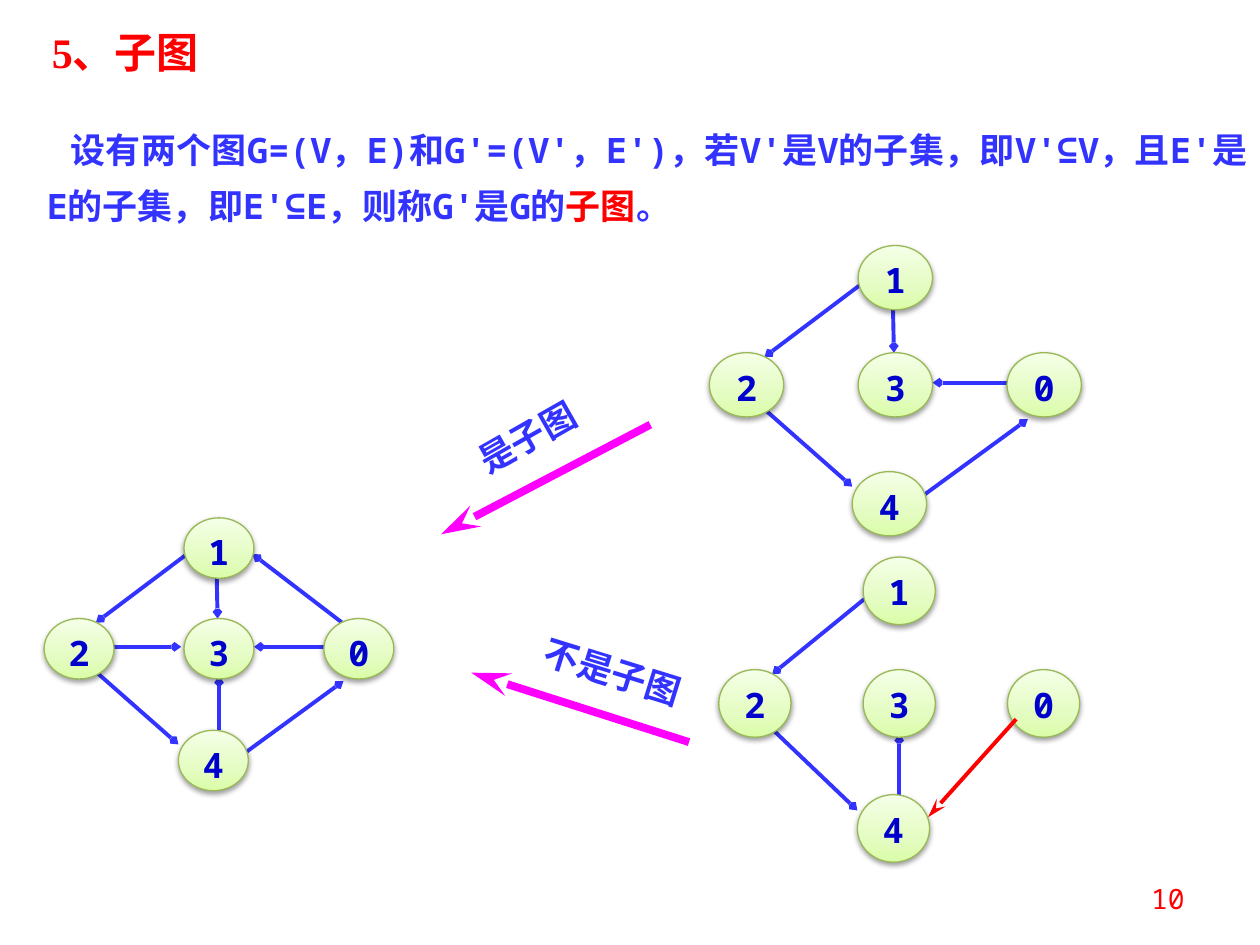
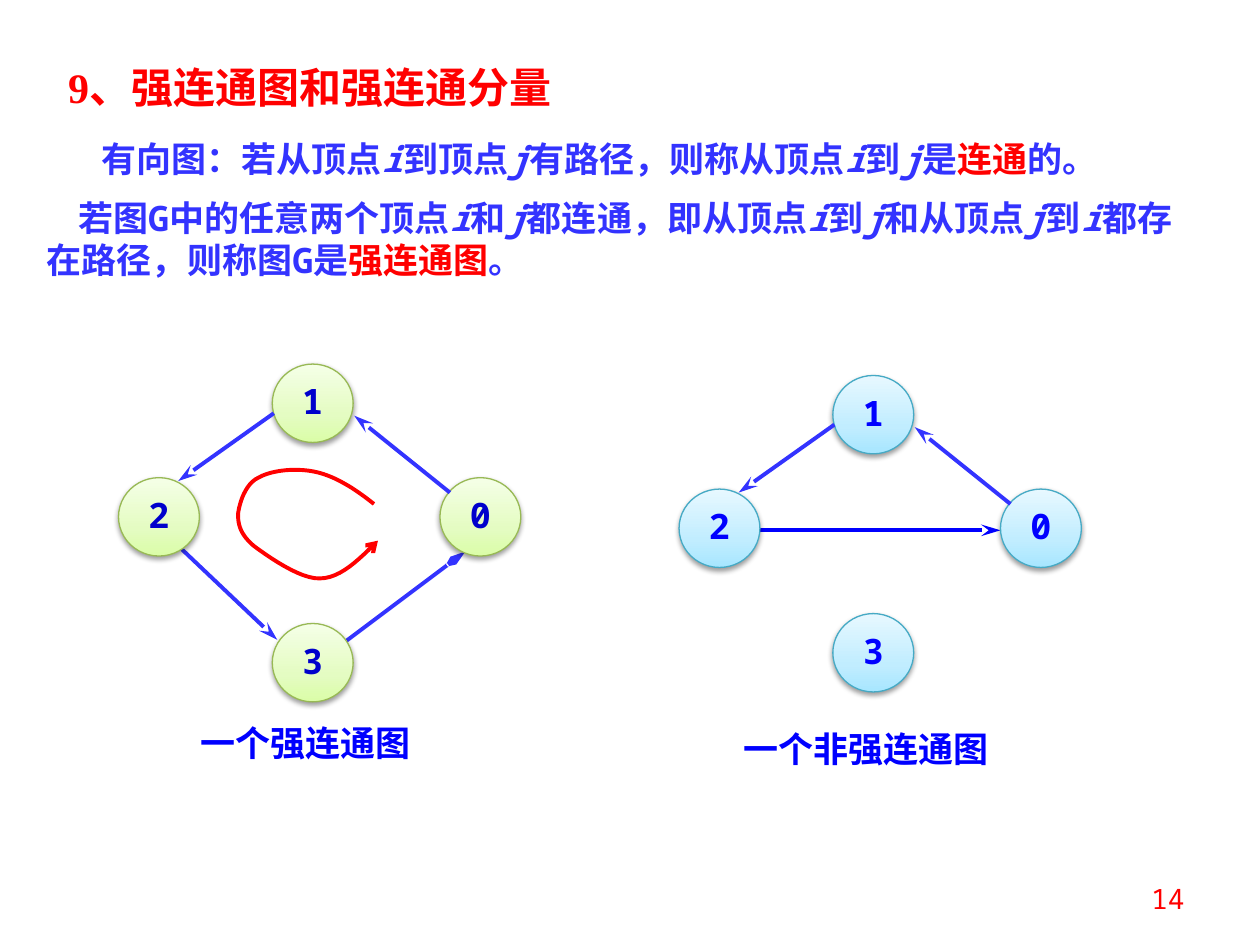
from pptx import Presentation
from pptx.dml.color import RGBColor
from pptx.enum.shapes import MSO_CONNECTOR, MSO_SHAPE
from pptx.enum.text import MSO_ANCHOR, MSO_AUTO_SIZE, PP_ALIGN
from pptx.oxml import parse_xml
from pptx.oxml.ns import nsdecls, qn
from pptx.util import Cm, Pt
from lxml.etree import SubElement

MONO, SERIF, CJK = "Noto Sans Mono", "Times New Roman", "Noto Sans CJK SC"
RED, BLUE, PURE_BLUE, NAVY, MAGENTA = "FF0000", "3333FF", "0000FF", "0000CC", "FF00FF"
GREEN_NODE = {"stops": ("DAFDA7", "E4FCC2", "F5FFE7"), "line": "98B955", "text": NAVY}
CYAN_NODE = {"stops": ("A7E6FF", "C1EDFF", "E7F8FF"), "line": "46AAC5", "text": PURE_BLUE}

SMALL = ("arrow", "sm", "sm")
LONG = ("arrow", "sm", "lg")
MEDIUM = ("arrow", "med", "med")
STEALTH = ("stealth", "med", "lg")

FIVE_NODES = {"1": (0, 0), "3": (0, 1), "0": (1, 1), "2": (-1, 1), "4": (-0.04, 2.11)}
FIVE_LINKS = {
    "13": (0.23, 0.33, 0.24, 1),
    "43": (0.25, 2.17, 0.25, 1.57),
    "03": (1, 1.28, 0.5, 1.28),
    "23": (-0.51, 1.28, -0.02, 1.28),
    "24": (-0.62, 1.54, -0.04, 2.25),
    "40": (0.44, 2.33, 1.14, 1.62),
    "01": (1.13, 1.04, 0.49, 0.36),
    "12": (0.04, 0.34, -0.63, 1.04),
    "04": (1.06, 1.44, 0.45, 2.31),
}
FOUR_LINKS = {
    "12": (0.03, 0.99, -1.9, 2.36),
    "01": (3.58, 2.59, 1.65, 1.04),
    "23": (-1.88, 3.68, 0.1, 5.56),
    "30": (1.45, 5.61, 3.89, 3.78),
    "20": (-1.47, 3.12, 3.38, 3.12),
}
CYCLE_START = (7.54, 10.16)
CYCLE_CURVES = [
    ((7.19, 9.88), (6.81, 9.63), (6.43, 9.53)),
    ((6.02, 9.42), (5.49, 9.47), (5.21, 9.63)),
    ((4.95, 9.75), (4.83, 10.13), (4.8, 10.36)),
    ((4.8, 10.59), (4.85, 10.77), (5.11, 11)),
    ((5.38, 11.2), (6.05, 11.68), (6.45, 11.66)),
    ((6.86, 11.66), (7.24, 11.28), (7.62, 10.9)),
]


def rgb(value):
    """Return the colour of a hex string."""
    return RGBColor.from_string(value)


def assign(obj, **values):
    """Set several attributes of an object."""
    for name, value in values.items():
        setattr(obj, name, value)


def place(sp, left, top, width, height):
    """Put a shape at a position given in centimetres."""
    assign(sp, left=Cm(left), top=Cm(top), width=Cm(width), height=Cm(height))


def add_run(p, text, color, size=20, font=MONO, bold=True, italic=False):
    """Add a formatted run to a paragraph."""
    r = p.add_run()
    r.text = text
    assign(r.font, size=Pt(size), name=font, bold=bold, italic=italic)
    r.font.color.rgb = rgb(color)
    rpr = r.font._element
    rpr.set("lang", "zh-CN")
    SubElement(rpr, qn("a:ea")).set("typeface", CJK)


def add_rich_text(p, text):
    """Add pieces parted by bars: starred ones red, single variables italic."""
    for piece in text.split("|"):
        add_run(p, piece.lstrip("*"), RED if piece.startswith("*") else BLUE,
                italic=piece in ("i", "j"))


def add_title(slide, text, box):
    """Fill and place the title placeholder."""
    sp = slide.shapes.title
    place(sp, *box)
    tf = sp.text_frame
    assign(tf, word_wrap=True, auto_size=MSO_AUTO_SIZE.NONE, vertical_anchor=MSO_ANCHOR.TOP)
    p = tf.paragraphs[0]
    p.alignment = PP_ALIGN.LEFT
    add_run(p, text, RED, 24, SERIF)


def add_body(slide, box, paragraphs, **fmt):
    """Fill the body placeholder with (first-line indent, text) paragraphs."""
    sp = slide.placeholders[1]
    place(sp, *box)
    tf = sp.text_frame
    assign(tf, word_wrap=True, auto_size=MSO_AUTO_SIZE.NONE, vertical_anchor=MSO_ANCHOR.TOP)
    for i, (indent, text) in enumerate(paragraphs):
        p = tf.add_paragraph() if i else tf.paragraphs[0]
        assign(p, space_before=Pt(10 if i else 0), **fmt)
        ppr = p._p.get_or_add_pPr()
        ppr.set("marL", "0")
        ppr.set("indent", str(Cm(indent)))
        SubElement(ppr, qn("a:buNone"))
        add_rich_text(p, text)


def add_label(slide, text, box, color, align=PP_ALIGN.CENTER, rotation=0, margin=0.25, **font):
    """Add a text box with one line of text."""
    sp = slide.shapes.add_textbox(*map(Cm, box))
    sp.rotation = rotation
    tf = sp.text_frame
    assign(tf, word_wrap=True, margin_left=Cm(margin), margin_right=Cm(margin),
           margin_top=Cm(margin / 2), margin_bottom=Cm(margin / 2))
    p = tf.paragraphs[0]
    p.alignment = align
    add_run(p, text, color, **font)


def add_page_number(slide, number):
    """Add the page number at the lower right."""
    add_label(slide, number, (18.21, 17.65, 5.92, 1.02), RED, PP_ALIGN.RIGHT,
              size=16, bold=False)


def style_line(sp, color, width, head):
    """Format a line and give its end an arrowhead."""
    sp.line.width = Pt(width)
    sp.line.color.rgb = rgb(color)
    tail = SubElement(sp.line._get_or_add_ln(), qn("a:tailEnd"))
    for key, value in zip(("type", "w", "len"), head):
        tail.set(key, value)


def add_arrow(slide, ends, color=BLUE, head=SMALL, width=2.25):
    """Add a straight arrow between two points."""
    line = slide.shapes.add_connector(MSO_CONNECTOR.STRAIGHT, *map(Cm, ends))
    style_line(line, color, width, head)
    SubElement(line._element.spPr, qn("a:effectLst"))


def add_node(slide, text, box, look):
    """Add a shaded vertex with its number."""
    sp = slide.shapes.add_shape(MSO_SHAPE.OVAL, *map(Cm, box))
    stops = "".join(f'<a:gs pos="{pos}000"><a:srgbClr val="{color}"/></a:gs>'
                    for pos, color in zip((0, 35, 100), look["stops"]))
    sp_pr = sp._element.spPr
    sp_pr.find(qn("a:prstGeom")).addnext(parse_xml(
        f'<a:gradFill {nsdecls("a")} rotWithShape="1"><a:gsLst>{stops}</a:gsLst>'
        '<a:lin ang="16200000" scaled="0"/></a:gradFill>'))
    sp.line.width = Pt(0.75)
    sp.line.color.rgb = rgb(look["line"])
    sp.shadow.inherit = False
    sp_pr.find(qn("a:effectLst")).append(parse_xml(
        f'<a:outerShdw {nsdecls("a")} blurRad="{Pt(3.1)}" dist="{Pt(1.6)}" dir="5400000" '
        'rotWithShape="0"><a:srgbClr val="000000"><a:alpha val="38000"/></a:srgbClr>'
        '</a:outerShdw>'))
    tf = sp.text_frame
    assign(tf, word_wrap=True, vertical_anchor=MSO_ANCHOR.TOP, margin_left=0,
           margin_right=0, margin_top=Cm(0.3), margin_bottom=0)
    p = tf.paragraphs[0]
    assign(p, alignment=PP_ALIGN.CENTER, line_spacing=0.72)
    add_run(p, text, look["text"])


def add_nodes(slide, nodes, origin, scale, size, look):
    """Add all vertices of a graph on its scaled grid."""
    for text, (x, y) in nodes.items():
        add_node(slide, text,
                 (origin[0] + x * scale[0], origin[1] + y * scale[1], *size), look)


def add_link(slide, link, origin, scale=(1, 1), **look):
    """Add one edge of a graph on its scaled grid."""
    x1, y1, x2, y2 = link
    (left, top), (sx, sy) = origin, scale
    add_arrow(slide, (left + x1 * sx, top + y1 * sy, left + x2 * sx, top + y2 * sy), **look)


def add_five_graph(slide, origin, scale, links):
    """Add a five-vertex graph with the named edges."""
    for name in links.split():
        add_link(slide, FIVE_LINKS[name], origin, scale)
    add_nodes(slide, FIVE_NODES, origin, scale, (0.5 * scale[0], 0.6 * scale[1]), GREEN_NODE)


def add_four_graph(slide, origin, bottom, look, caption, caption_box):
    """Add a four-vertex graph with the edges 1-2 and 0-1 and a caption."""
    nodes = {"1": (0, 0), "0": (3.38, 2.29), "2": (-3.1, 2.29), "3": (0, bottom)}
    add_nodes(slide, nodes, origin, (1, 1), (1.63, 1.58), look)
    for name in ("12", "01"):
        add_link(slide, FOUR_LINKS[name], origin, head=STEALTH)
    add_label(slide, caption, caption_box, PURE_BLUE)


def bezier(points, t):
    """Return the point at t on a cubic curve."""
    weights = ((1 - t) ** 3, 3 * t * (1 - t) ** 2, 3 * t * t * (1 - t), t ** 3)
    return tuple(Cm(sum(w * pt[axis] for w, pt in zip(weights, points))) for axis in (0, 1))


def add_cycle(slide, start, curves, steps=12):
    """Add the open curved arrow that shows the cycle."""
    builder = slide.shapes.build_freeform(*map(Cm, start))
    for curve in curves:
        points = (start, *curve)
        builder.add_line_segments([bezier(points, i / steps) for i in range(1, steps + 1)],
                                  close=False)
        start = curve[-1]
    sp = builder.convert_to_shape()
    sp.fill.background()
    sp.shadow.inherit = False
    style_line(sp, RED, 2.25, MEDIUM)


def build_subgraph_slide(prs):
    """Build the slide on subgraphs."""
    s = prs.slides.add_slide(prs.slide_layouts[1])
    add_title(s, "5、子图", (0.79, 0.41, 5.77, 1.27))
    add_body(s, (0.69, 2.18, 24.71, 2.41),
             [(0.48, "设有两个图G=(V，E)和G'=(V'，E')，若V'是V的子集，即V'⊆V，"
                     "且E'是E的子集，即E'⊆E，则称G'是G的|*子图|。")],
             alignment=PP_ALIGN.JUSTIFY, line_spacing=Pt(32))
    add_five_graph(s, (3.71, 10.44), (2.82, 2.03), "13 43 03 23 24 40 01 12")
    add_five_graph(s, (17.3, 4.95), (3, 2.16), "13 03 24 40 12")
    origin, scale = (17.4, 11.23), (2.91, 2.27)
    add_five_graph(s, origin, scale, "43 24 12")
    add_link(s, FIVE_LINKS["04"], origin, scale, color=RED, head=STEALTH)
    for text, ends, corner, rotation in (
            ("是子图", (13.11, 8.56, 8.89, 10.77), (8.53, 8.38), 330.4),
            ("不是子图", (13.89, 14.96, 9.5, 13.56), (10.26, 13.11), 17.2)):
        add_arrow(s, ends, MAGENTA, STEALTH, 4.5)
        add_label(s, text, (*corner, 4.19, 0.86), BLUE, rotation=rotation, margin=0, font=CJK)
    add_page_number(s, "10")


def build_connectivity_slide(prs):
    """Build the slide on strongly connected graphs."""
    s = prs.slides.add_slide(prs.slide_layouts[1])
    add_title(s, "9、强连通图和强连通分量", (1.12, 1.12, 20, 1.27))
    add_body(s, (0.69, 2.64, 23.72, 3.3), [
        (1.1, "有向图：若从顶点|i|到顶点|j|有路径，则称从顶点|i|到|j|是|*连通|的。"),
        (0.63, "若图G中的任意两个顶点|i|和|j|都连通，即从顶点|i|到|j|和从顶点|j|到|i|"
               "都存在路径，则称图G是|*强连通图|。")])
    strong, weak = (5.49, 7.34), (16.79, 7.57)
    add_link(s, FOUR_LINKS["23"], strong, head=STEALTH)
    add_link(s, FOUR_LINKS["30"], strong, head=LONG)
    add_four_graph(s, strong, 5.23, GREEN_NODE, "一个强连通图", (3.38, 14.43, 5.56, 1.12))
    add_link(s, FOUR_LINKS["20"], weak, color=PURE_BLUE, head=STEALTH)
    add_four_graph(s, weak, 4.8, CYAN_NODE, "一个非强连通图", (14.68, 14.55, 5.56, 1.12))
    add_cycle(s, CYCLE_START, CYCLE_CURVES)
    add_page_number(s, "14")


def main():
    """Build and save the presentation."""
    prs = Presentation()
    assign(prs, slide_width=Cm(25.4), slide_height=Cm(19.05))
    build_subgraph_slide(prs)
    build_connectivity_slide(prs)
    prs.save("out.pptx")


if __name__ == "__main__":
    main()
